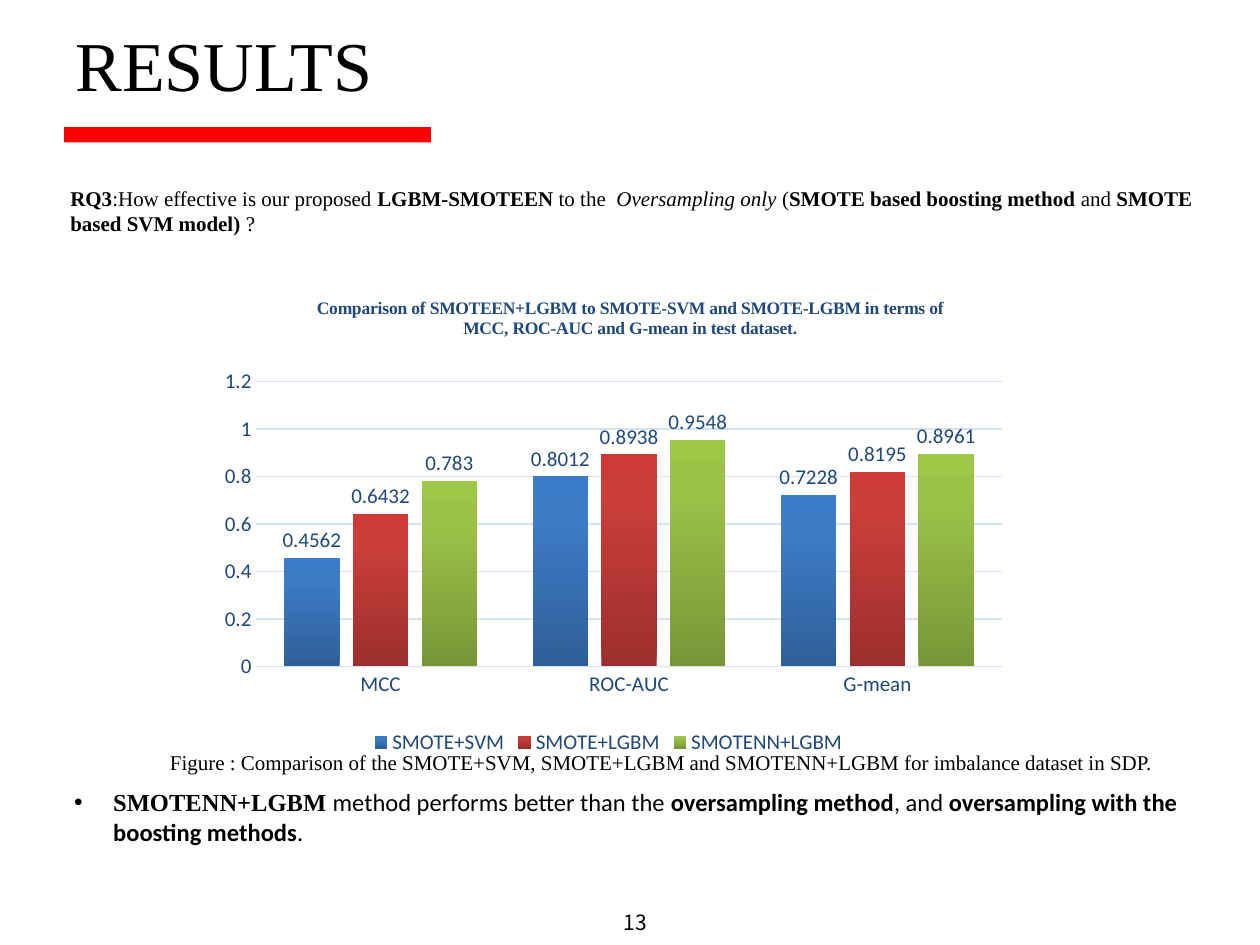
from lxml import etree
from pptx import Presentation
from pptx.chart.data import CategoryChartData
from pptx.dml.color import RGBColor
from pptx.enum.chart import XL_CHART_TYPE, XL_LABEL_POSITION, XL_LEGEND_POSITION, XL_TICK_MARK
from pptx.enum.shapes import MSO_SHAPE
from pptx.oxml import parse_xml
from pptx.oxml.ns import nsdecls, qn
from pptx.util import Inches, Pt

COLUMNS = XL_CHART_TYPE.COLUMN_CLUSTERED
OUTSIDE = XL_LABEL_POSITION.OUTSIDE_END
BOTTOM = XL_LEGEND_POSITION.BOTTOM
NO_TICK = XL_TICK_MARK.NONE
RECTANGLE = MSO_SHAPE.RECTANGLE

COLORS = {"black": "000000", "red": "FF0000", "navy": "1F497D", "grid": "D4E3F4"}
SERIF, SANS = "Times New Roman", "Calibri"


def add_text(left, top, width, height, runs, size, font=SERIF, insets=(0.1, 0.05)):
    """Add a one-paragraph text box; each run is (text, style letters)."""
    box = slide.shapes.add_textbox(Inches(left), Inches(top), Inches(width), Inches(height))
    frame = box.text_frame
    frame.word_wrap = True
    frame.margin_left = frame.margin_right = Inches(insets[0])
    frame.margin_top = frame.margin_bottom = Inches(insets[1])
    paragraph = frame.paragraphs[0]
    style_font(paragraph.font, size, "black", font)
    for text, style in runs:
        run = paragraph.add_run()
        run.text = text
        if "b" in style:
            run.font.bold = True
        if "i" in style:
            run.font.italic = True
    return paragraph


def style_font(font, size, color, name=SANS):
    font.size = Pt(size)
    font.name = name
    font.color.rgb = RGBColor.from_string(COLORS[color])


presentation = Presentation()
presentation.slide_width, presentation.slide_height = Inches(10), Inches(7.5)
slide = presentation.slides.add_slide(presentation.slide_layouts[6])

# Title and red bar
bar = slide.shapes.add_shape(RECTANGLE, Inches(0.51), Inches(1.01), Inches(2.91), Inches(0.12))
bar.shadow.inherit = False
bar.fill.solid()
bar.fill.fore_color.rgb = RGBColor.from_string(COLORS["red"])
bar.line.fill.background()
title = add_text(0.59, 0.16, 7.41, 0.69, [("RESULTS", "")], 40, insets=(0, 0.01))
title.space_before = Pt(0.9)
title._p.get_or_add_pPr().set("marL", str(Inches(0.01)))

# Page number
number = add_text(4.91, 7.19, 0.25, 0.23, [("13", "")], 12, "Noto Sans CJK KR", (0, 0.03))
number.space_before = Pt(2)
number._p.get_or_add_pPr().set("marL", str(Inches(0.04)))

# Research question
add_text(0.46, 1.42, 9.16, 1.01, [
    ("RQ3", "b"),
    (":How effective is our proposed ", ""),
    ("LGBM-SMOTEEN", "b"),
    (" to the  ", ""),
    ("Oversampling only ", "i"),
    ("(", ""),
    ("SMOTE based boosting method ", "b"),
    ("and ", ""),
    ("SMOTE based SVM model) ", "b"),
    ("?", ""),
], 12)

# Chart: name, values, gradient from bottom to top
series_rows = [
    ("SMOTE+SVM", (0.4562, 0.8012, 0.7228), ("2F5F99", "3D7CC7", "3A7CCB")),
    ("SMOTE+LGBM", (0.6432, 0.8938, 0.8195), ("9C2F2D", "CB3E3A", "CE3B37")),
    ("SMOTENN+LGBM", (0.783, 0.9548, 0.8961), ("779737", "9BC348", "9DC746")),
]
chart_data = CategoryChartData()
chart_data.categories = ["MCC", "ROC-AUC", "G-mean"]
for name, values, _ in series_rows:
    chart_data.add_series(name, values)
chart = slide.shapes.add_chart(
    COLUMNS, Inches(1.58), Inches(1.92), Inches(6.5), Inches(4.11), chart_data).chart
style_font(chart.font, 10, "black")

# Chart title
chart_title = chart.chart_title
chart_title.include_in_layout = False
chart_title.text_frame.text = ("Comparison of SMOTEEN+LGBM to SMOTE-SVM and SMOTE-LGBM in terms of "
                               "MCC, ROC-AUC and G-mean in test dataset.")
title_font = chart_title.text_frame.paragraphs[0].font
style_font(title_font, 10, "navy", SERIF)
title_font.bold = True

# Series fills and labels
plot = chart.plots[0]
plot.gap_width, plot.overlap = 100, -24
plot.vary_by_categories = False
for series, (_, _, stops) in zip(plot.series, series_rows):
    gradient = "".join(
        f'<a:gs pos="{position}"><a:srgbClr val="{color}"/></a:gs>'
        for position, color in zip((0, 80000, 100000), stops))
    series.format.fill.gradient()
    properties = series.format._element if hasattr(series.format, "_element") else series._element.spPr
    old_fill = properties.find(".//" + qn("a:gradFill"))
    old_fill.getparent().replace(old_fill, parse_xml(
        f'<a:gradFill {nsdecls("a")} rotWithShape="1"><a:gsLst>{gradient}</a:gsLst>'
        '<a:lin ang="16200000" scaled="0"/></a:gradFill>'))
    series.format.line.fill.background()
    labels = series.data_labels
    labels.show_value = True
    labels.position = OUTSIDE
    style_font(labels.font, 12, "navy")

# Axes
category_axis, value_axis = chart.category_axis, chart.value_axis
for axis in (category_axis, value_axis):
    axis.major_tick_mark = axis.minor_tick_mark = NO_TICK
    style_font(axis.tick_labels.font, 12, "navy")
value_axis.minimum_scale, value_axis.maximum_scale, value_axis.major_unit = 0, 1.2, 0.2
value_axis.format.line.fill.background()
for line in (category_axis.format.line, value_axis.major_gridlines.format.line):
    line.color.rgb = RGBColor.from_string(COLORS["grid"])
    line.width = Pt(0.75)

# Legend
chart.has_legend = True
chart.legend.position = BOTTOM
chart.legend.include_in_layout = False
style_font(chart.legend.font, 12, "navy")

# Fixed places of the chart title and the plot area
places = [
    (chart_title._element, {"xMode": "edge", "yMode": "edge", "x": 0.14, "y": 0.1}),
    (chart._chartSpace.chart.plotArea, {"layoutTarget": "inner", "xMode": "edge", "yMode": "edge",
                                        "x": 0.07, "y": 0.27, "w": 0.91, "h": 0.55}),
]
for element, settings in places:
    layout = element.find(qn("c:layout"))
    if layout is None:
        layout = parse_xml(f'<c:layout {nsdecls("c")}/>')
        text = element.find(qn("c:tx"))
        element.insert(0 if text is None else 1, layout)
    manual = etree.SubElement(layout, qn("c:manualLayout"))
    for tag, value in settings.items():
        etree.SubElement(manual, qn("c:" + tag)).set("val", str(value))

# Caption
add_text(1.25, 5.9, 8.58, 0.3, [
    ("Figure : Comparison of the SMOTE+SVM, SMOTE+LGBM and SMOTENN+LGBM "
     "for imbalance dataset in SDP.", ""),
], 12)

# Conclusion bullet
conclusion = add_text(0.49, 6.2, 9.16, 0.57, [
    ("SMOTENN+LGBM ", "b"),
    ("method performs better than the ", ""),
    ("oversampling method", "b"),
    (", and ", ""),
    ("oversampling with the boosting methods", "b"),
    (".", ""),
], 14, SANS)
conclusion.runs[0].font.name = SERIF
bullet_properties = conclusion._p.get_or_add_pPr()
bullet_properties.set("marL", str(Inches(0.31)))
bullet_properties.set("indent", str(-Inches(0.31)))
bullet_properties.insert(0, parse_xml(f'<a:buChar {nsdecls("a")} char="•"/>'))
bullet_properties.insert(0, parse_xml(f'<a:buFont {nsdecls("a")} typeface="Arial"/>'))

presentation.save("out.pptx")
